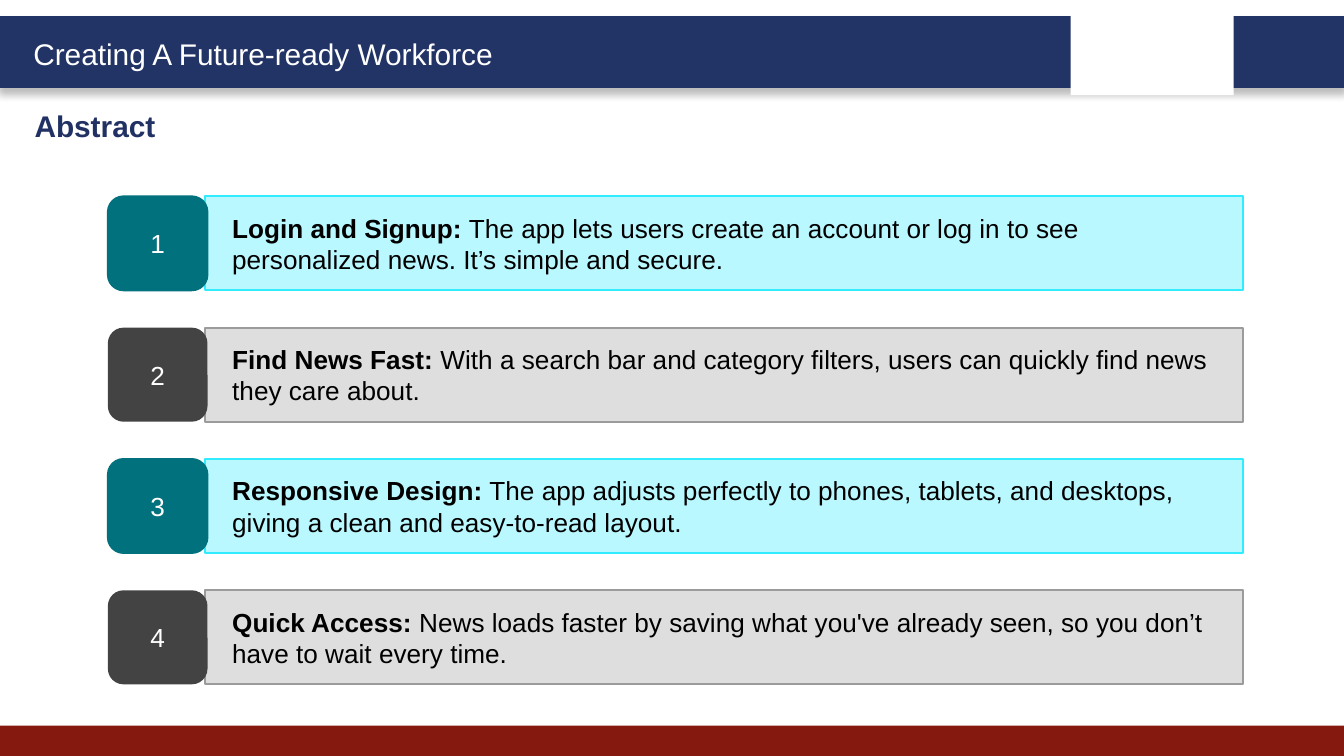
import pptx
import pptx.dml.color
import pptx.enum.shapes
import pptx.enum.text
import pptx.oxml
import pptx.oxml.ns
import pptx.util

Pt = pptx.util.Pt
SHAPES = pptx.enum.shapes.MSO_SHAPE
ANCHOR = pptx.enum.text.MSO_ANCHOR
ALIGN = pptx.enum.text.PP_ALIGN

COLORS = {
    "navy": "223366",
    "title": "213163",
    "red": "851910",
    "white": "FFFFFF",
    "black": "000000",
    "teal": "00717D",
    "aqua": "BAF8FF",
    "aqua_line": "31EBFF",
    "charcoal": "434343",
    "gray": "DEDEDE",
    "gray_line": "9B9B9B",
}

# badge fill, badge line, box fill, box line
ROW_STYLES = [
    ("teal", "teal", "aqua", "aqua_line"),
    ("charcoal", None, "gray", "gray_line"),
]

FEATURES = [
    ("Login and Signup:", " The app lets users create an account or log in to see "
     "personalized news. It’s simple and secure."),
    ("Find News Fast:", " With a search bar and category filters, users can quickly "
     "find news they care about."),
    ("Responsive Design:", " The app adjusts perfectly to phones, tablets, and desktops, "
     "giving a clean and easy-to-read layout."),
    ("Quick Access:", " News loads faster by saving what you've already seen, so you "
     "don’t have to wait every time."),
]

ROW_TOP, ROW_STEP, ROW_HEIGHT = 105.2, 70.35, 50.4


def rgb(name):
    return pptx.dml.color.RGBColor.from_string(COLORS[name])


def set_font(paragraph, size, color, bold=None):
    font = paragraph.font
    font.name = "Arial"
    font.size = Pt(size)
    font.color.rgb = rgb(color)
    font.bold = bold


def add_block(slide, kind, left, top, width, height, fill, line=None, line_width=1):
    shape = slide.shapes.add_shape(kind, Pt(left), Pt(top), Pt(width), Pt(height))
    shape.shadow.inherit = False
    shape.fill.solid()
    shape.fill.fore_color.rgb = rgb(fill)
    if line:
        shape.line.color.rgb = rgb(line)
        shape.line.width = Pt(line_width)
    else:
        shape.line.fill.background()
    return shape


def add_drop_shadow(shape):
    effects = shape._element.spPr.find(pptx.oxml.ns.qn("a:effectLst"))
    effects.append(pptx.oxml.parse_xml(
        f'<a:outerShdw {pptx.oxml.ns.nsdecls("a")} blurRad="{Pt(4)}" dist="{Pt(3)}" '
        f'dir="5400000" algn="t" rotWithShape="0"><a:srgbClr val="{COLORS["black"]}">'
        '<a:alpha val="25000"/></a:srgbClr></a:outerShdw>'))


def add_header(slide):
    bar = add_block(slide, SHAPES.RECTANGLE, 0, 9.5, 720, 36.7, "navy", "navy", 2)
    add_drop_shadow(bar)
    add_block(slide, SHAPES.RECTANGLE, 573.5, 5, 87.4, 46, "white")
    box = slide.shapes.add_textbox(Pt(10.8), Pt(15.4), Pt(272), Pt(26.6))
    box.text_frame.word_wrap = True
    paragraph = box.text_frame.paragraphs[0]
    paragraph.text = "Creating A Future-ready Workforce"
    set_font(paragraph, 16, "white")


def add_footer(slide):
    add_block(slide, SHAPES.RECTANGLE, 0, 388.7, 720, 16.3, "red")


def fill_title(slide, text):
    title = slide.shapes.title
    title.left, title.top = Pt(11.3), Pt(54)
    title.width, title.height = Pt(348.5), Pt(26.6)
    title.text_frame.vertical_anchor = ANCHOR.TOP
    paragraph = title.text_frame.paragraphs[0]
    paragraph.text = text
    paragraph.alignment = ALIGN.LEFT
    set_font(paragraph, 16, "title", bold=True)


def add_feature(slide, index, heading, description):
    top = ROW_TOP + index * ROW_STEP
    badge_fill, badge_line, box_fill, box_line = ROW_STYLES[index % len(ROW_STYLES)]

    box = add_block(slide, SHAPES.RECTANGLE, 110, top, 556, ROW_HEIGHT, box_fill, box_line)
    frame = box.text_frame
    frame.word_wrap = True
    frame.margin_left = Pt(14.4)
    frame.vertical_anchor = ANCHOR.MIDDLE
    paragraph = frame.paragraphs[0]
    paragraph.alignment = ALIGN.LEFT
    set_font(paragraph, 14, "black")
    heading_run = paragraph.add_run()
    heading_run.text = heading
    heading_run.font.bold = True
    paragraph.add_run().text = description

    badge = add_block(slide, SHAPES.ROUNDED_RECTANGLE, 57.8, top, 53.4, ROW_HEIGHT,
                      badge_fill, badge_line)
    badge.text_frame.vertical_anchor = ANCHOR.MIDDLE
    number = badge.text_frame.paragraphs[0]
    number.text = str(index + 1)
    number.alignment = ALIGN.CENTER
    set_font(number, 14, "white")


def main():
    presentation = pptx.Presentation()
    presentation.slide_width, presentation.slide_height = Pt(720), Pt(405)
    title_only = presentation.slide_layouts[5]
    slide = presentation.slides.add_slide(title_only)
    add_header(slide)
    add_footer(slide)
    fill_title(slide, "Abstract")
    for index, (heading, description) in enumerate(FEATURES):
        add_feature(slide, index, heading, description)
    presentation.save("out.pptx")


if __name__ == "__main__":
    main()
